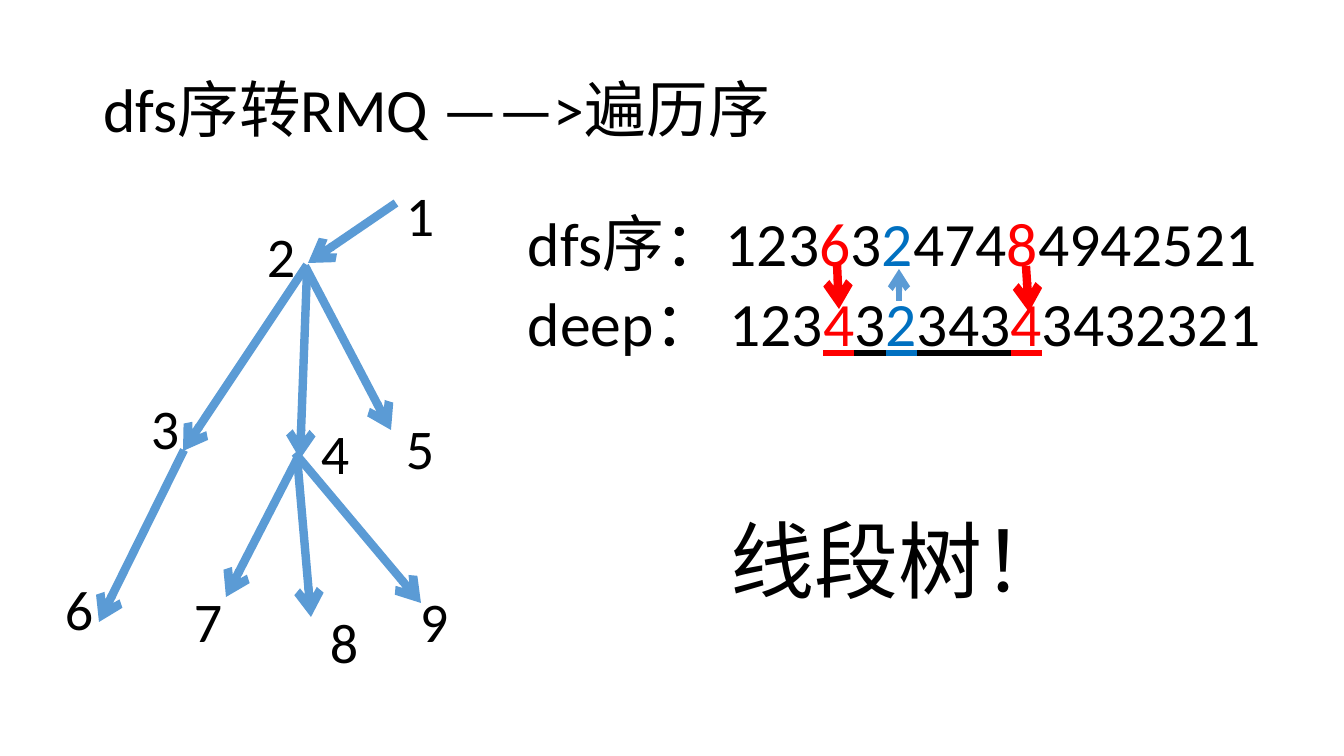
from dataclasses import dataclass

from lxml.etree import SubElement
from pptx import Presentation
from pptx.dml.color import RGBColor
from pptx.enum.shapes import MSO_CONNECTOR
from pptx.enum.text import MSO_ANCHOR, MSO_AUTO_SIZE, PP_ALIGN
from pptx.oxml.ns import qn
from pptx.util import Pt

SCALE = 914400 / 100.8


@dataclass(frozen=True)
class Theme:
    font: str = "Calibri"
    ink: str = "000000"
    red: str = "FF0000"
    blue: str = "0070C0"
    edge: str = "5B9BD5"
    body: int = 44
    node: int = 40
    slogan: int = 60
    thick: float = 6
    thin: float = 4.5


THEME = Theme()

# Node label: left, top
NODES = {
    "1": (396, 176), "2": (257, 217), "3": (141, 389),
    "4": (311, 414), "5": (396, 409), "6": (55, 570),
    "7": (184, 582), "8": (320, 603), "9": (410, 582),
}
# Tree edge: from x, y, to x, y
EDGES = [
    (307, 265, 183, 451), (305, 266, 391, 430), (307, 272, 300, 459),
    (184, 450, 99, 622), (396, 203, 308, 263), (297, 459, 226, 597),
    (297, 456, 311, 617), (295, 453, 421, 603),
]
# Arrow between the rows: ends, colour, width
MARKS = [
    ((899, 301, 899, 269), THEME.edge, THEME.thin),
    ((837, 263, 839, 309), THEME.red, THEME.thick),
    ((1026, 266, 1029, 312), THEME.red, THEME.thick),
]
# Sequence row: text, colour, underline
DFS = [
    ("dfs序：123", THEME.ink, False), ("6", THEME.red, False),
    ("3", THEME.ink, False), ("2", THEME.blue, False),
    ("474", THEME.ink, False), ("8", THEME.red, False),
    ("4942521", THEME.ink, False),
]
DEEP = [
    ("deep： 123", THEME.ink, False), ("4", THEME.red, True),
    ("3", THEME.ink, True), ("2", THEME.blue, True),
    ("343", THEME.ink, True), ("4", THEME.red, True),
    ("3432321", THEME.ink, False),
]


def emu(*pixels):
    return [round(p * SCALE) for p in pixels]


def style(item, values):
    for name, value in values.items():
        setattr(item, name, value)


def write(shape, rows, size, frame=None, para=None):
    text = shape.text_frame
    style(text, {"word_wrap": True, "auto_size": MSO_AUTO_SIZE.NONE,
                 **(frame or {})})
    for i, row in enumerate(rows):
        line = text.add_paragraph() if i else text.paragraphs[0]
        style(line, {"alignment": PP_ALIGN.LEFT, **(para or {})})
        for words, color, under in row:
            run = line.add_run()
            run.text = words
            style(run.font, {"name": THEME.font, "size": Pt(size),
                             "underline": under})
            run.font.color.rgb = RGBColor.from_string(color)


def label(shapes, box, rows, size, frame=None, para=None):
    write(shapes.add_textbox(*emu(*box)), rows, size, frame, para)


def arrow(shapes, ends, color, width):
    link = shapes.add_connector(MSO_CONNECTOR.STRAIGHT, *emu(*ends))
    link.line.width = Pt(width)
    link.line.color.rgb = RGBColor.from_string(color)
    props = link.element.spPr
    SubElement(props.find(qn("a:ln")), qn("a:tailEnd"), type="arrow")
    SubElement(props, qn("a:effectLst"))


def head(slide):
    title = slide.shapes.title
    spots = zip(("left", "top", "width", "height"), emu(93, 40, 1159, 146))
    style(title, dict(spots))
    write(title, [[("dfs序转RMQ ——>遍历序", THEME.ink, False)]], THEME.body,
          {"vertical_anchor": MSO_ANCHOR.MIDDLE}, {"line_spacing": 0.9})


def tree(slide):
    group = slide.shapes.add_group_shape().shapes
    for ends in EDGES:
        arrow(group, ends, THEME.edge, THEME.thick)
    for name, spot in NODES.items():
        label(group, (*spot, 43, 78), [[(name, THEME.ink, False)]],
              THEME.node)


def main():
    deck = Presentation()
    style(deck, dict(zip(("slide_width", "slide_height"), emu(1344, 756))))
    slide = deck.slides.add_slide(deck.slide_layouts[5])

    # Title and the two sequences
    head(slide)
    label(slide.shapes, (518, 208, 784, 296), [DFS, DEEP], THEME.body,
          para={"line_spacing": 0.9, "space_before": Pt(10)})

    # Tree, then arrows between the sequences
    tree(slide)
    for mark in MARKS:
        arrow(slide.shapes, *mark)

    # Slogan
    label(slide.shapes, (721, 504, 356, 111),
          [[("线段树！", THEME.ink, False)]], THEME.slogan,
          {"word_wrap": False})

    deck.save("out.pptx")


main()
